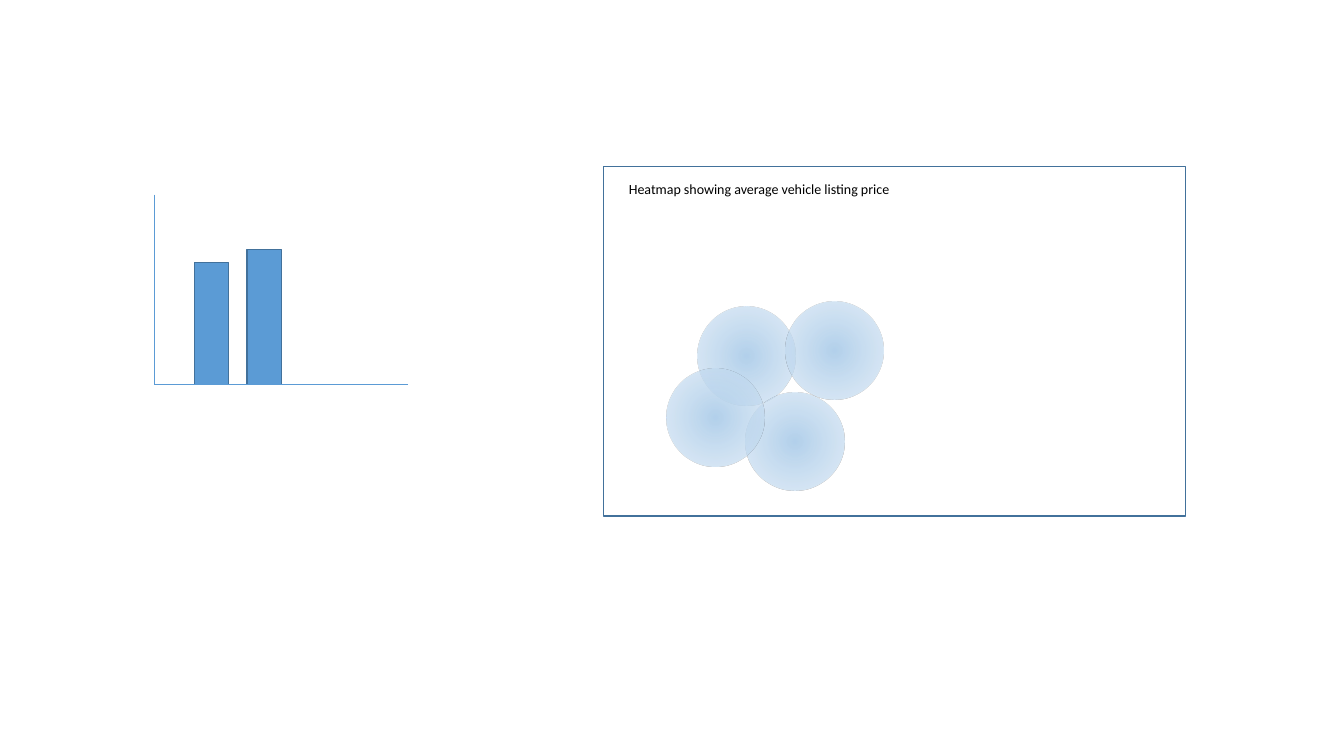
from lxml import etree
from pptx import Presentation
from pptx.dml.color import RGBColor
from pptx.enum.shapes import MSO_CONNECTOR, MSO_SHAPE
from pptx.oxml import parse_xml
from pptx.oxml.ns import nsdecls, qn
from pptx.util import Pt

RECT, OVAL = MSO_SHAPE.RECTANGLE, MSO_SHAPE.OVAL
STRAIGHT = MSO_CONNECTOR.STRAIGHT

# Content, lengths in points
COLORS = {"bar": "5B9BD5", "edge": "42719B", "panel": "FFFFFF",
          "text": "000000", "core": "B3D1EC", "rim": "C6DCF0"}
TITLE = "Heatmap showing average vehicle listing price"
TITLE_BOX = (442.1, 125.3, 251.3, 19.4)
PANEL = (431.3, 118.8, 415.4, 249.8)
BAR_LEFT, BAR_STEP, BAR_WIDTH, BASELINE = 138.8, 37.6, 24.6, 274.6
BAR_HEIGHTS = [87.2, 96.5]
AXIS_LEFT, AXIS_TOP, AXIS_RIGHT = 110.2, 139, 291.6
SPOT_SIZE = 70.2
SPOTS = [(498, 219.2), (532.8, 280.2), (561, 215.4), (476, 263.2)]
RIM_STOPS = (95, 100)
RIM_OPACITY = 56


def color(name):
    return RGBColor.from_string(COLORS[name])


def add_box(kind, box, fill=None, edge=None):
    s = slide.shapes.add_shape(kind, *map(Pt, box))
    s.shadow.inherit = False
    if fill:
        s.fill.solid()
        s.fill.fore_color.rgb = color(fill)
    if edge:
        s.line.color.rgb = color(edge)
        s.line.width = Pt(1)
    else:
        s.line.fill.background()
    return s


def fill_radial(s):
    rim = "".join(
        f'<a:gs pos="{stop * 1000}"><a:srgbClr val="{COLORS["rim"]}">'
        f'<a:alpha val="{RIM_OPACITY * 1000}"/></a:srgbClr></a:gs>'
        for stop in RIM_STOPS)
    grad = parse_xml(
        f'<a:gradFill {nsdecls("a")} rotWithShape="1"><a:gsLst>'
        f'<a:gs pos="0"><a:srgbClr val="{COLORS["core"]}"/></a:gs>{rim}</a:gsLst>'
        '<a:path path="circle">'
        '<a:fillToRect l="50000" t="50000" r="50000" b="50000"/>'
        '</a:path></a:gradFill>')
    s._element.spPr.find(qn("a:prstGeom")).addnext(grad)


prs = Presentation()
prs.slide_width, prs.slide_height = Pt(960), Pt(540)
slide = prs.slides.add_slide(prs.slide_layouts[6])

# Bars
for i, height in enumerate(BAR_HEIGHTS):
    add_box(RECT, (BAR_LEFT + i * BAR_STEP, BASELINE - height, BAR_WIDTH, height),
            "bar", "edge")

# Axes
axes = slide.shapes.add_group_shape()
for x, y in [(AXIS_LEFT, AXIS_TOP), (AXIS_RIGHT, BASELINE)]:
    axis = axes.shapes.add_connector(
        STRAIGHT, Pt(x), Pt(y), Pt(AXIS_LEFT), Pt(BASELINE))
    axis.line.color.rgb = color("bar")
    axis.line.width = Pt(0.75)
    etree.SubElement(axis._element.spPr, qn("a:effectLst"))

# Heatmap panel and spots
add_box(RECT, PANEL, "panel", "edge")
for left, top in SPOTS:
    fill_radial(add_box(OVAL, (left, top, SPOT_SIZE, SPOT_SIZE)))

# Heatmap title
tf = slide.shapes.add_textbox(*map(Pt, TITLE_BOX)).text_frame
tf.word_wrap = True
p = tf.paragraphs[0]
p.text = TITLE
p.font.name = "Calibri"
p.font.size = Pt(10)
p.font.color.rgb = color("text")

prs.save("out.pptx")
